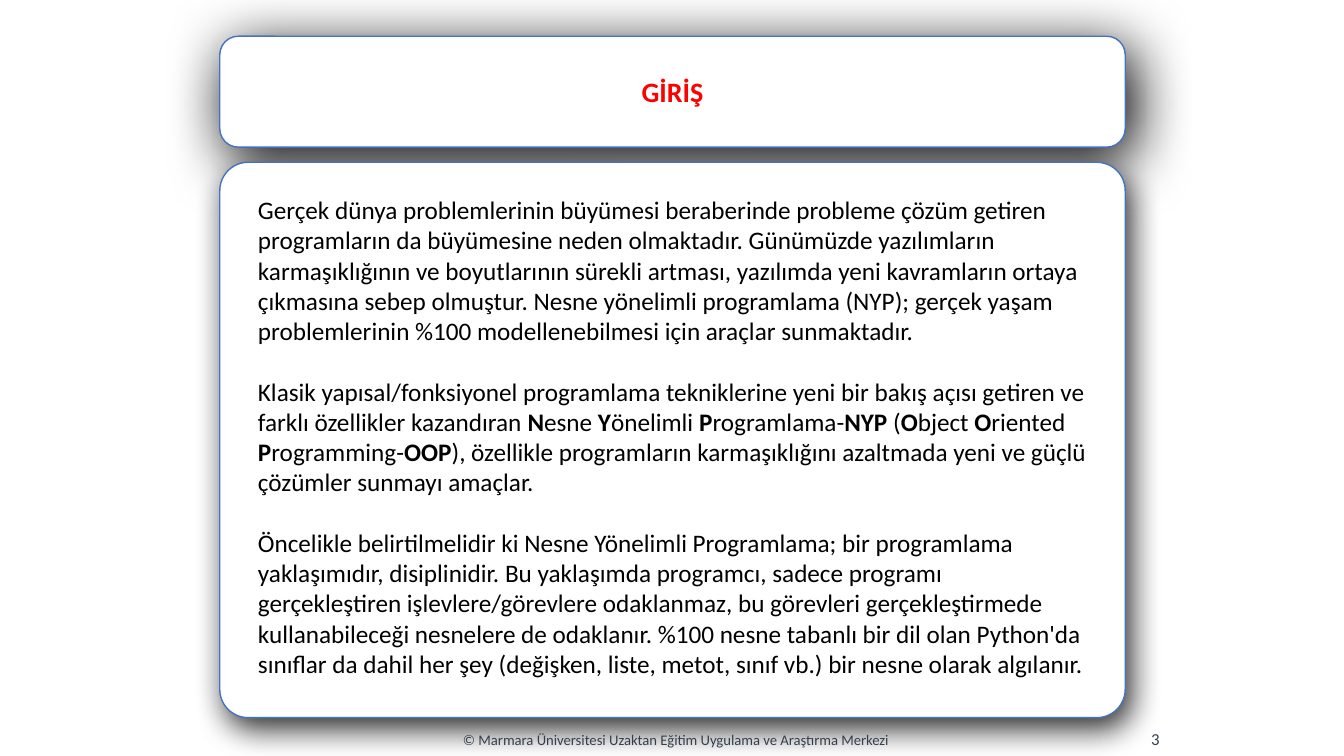
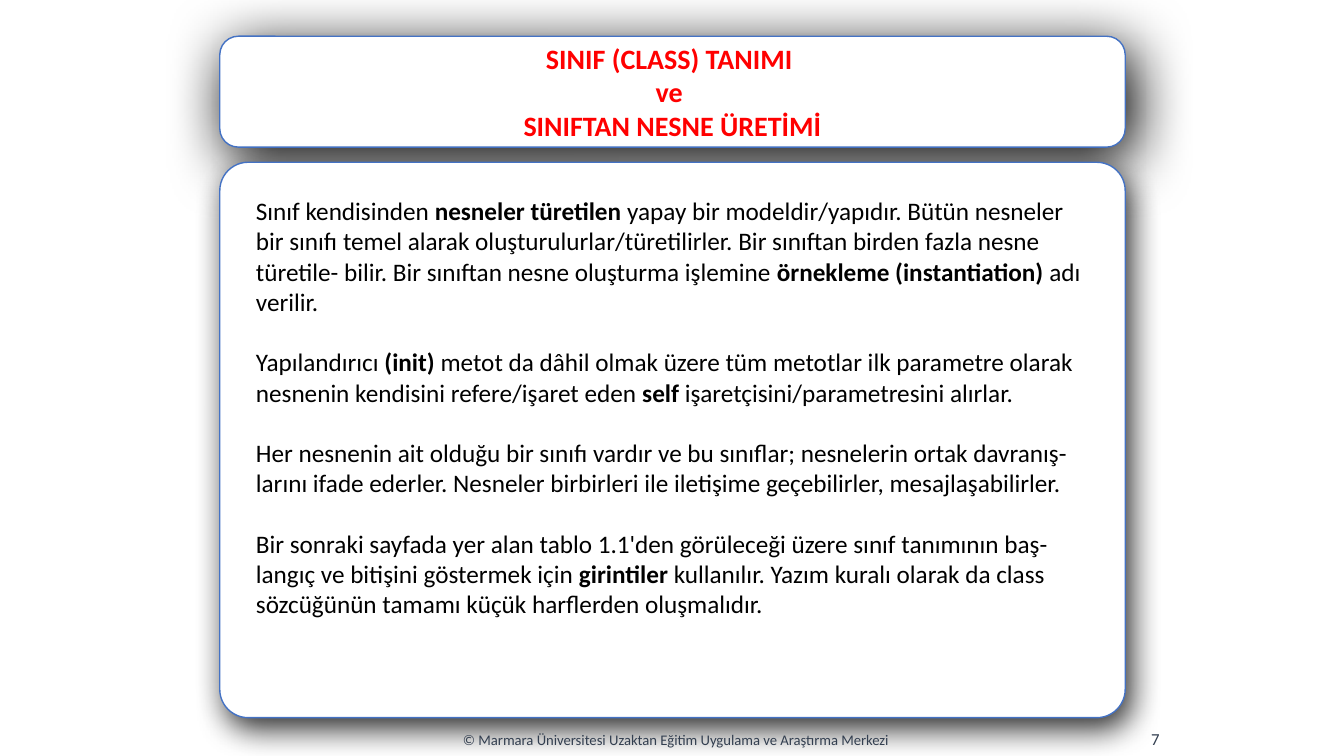
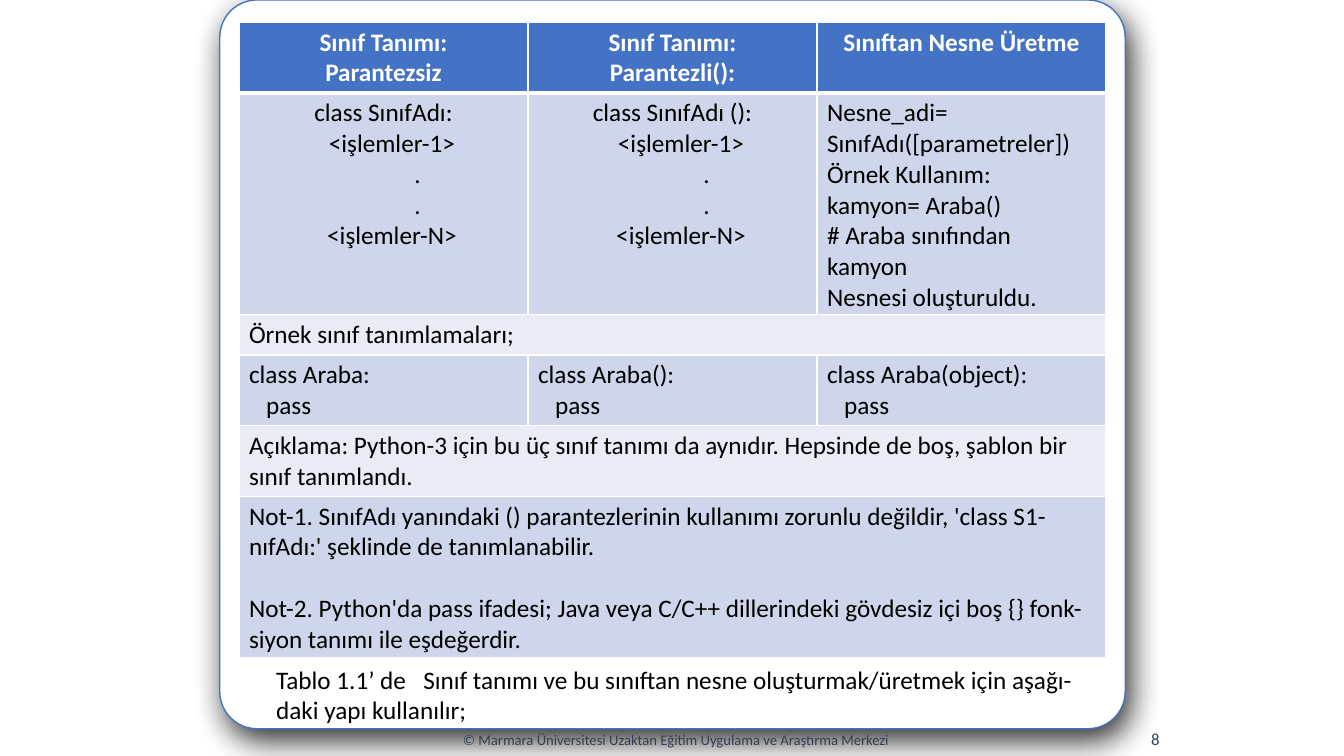
from dataclasses import dataclass
from typing import Optional

from lxml import etree
from pptx import Presentation
from pptx.dml.color import RGBColor
from pptx.enum import shapes, text
from pptx.oxml import ns
from pptx.util import Inches, Pt

FONT = "Calibri"
WHITE = RGBColor(0xFF, 0xFF, 0xFF)
BLACK = RGBColor(0x00, 0x00, 0x00)
RED = RGBColor(0xFF, 0x00, 0x00)
BLUE = RGBColor(0x44, 0x72, 0xC4)
SLATE = RGBColor(0x33, 0x3F, 0x50)
BAND_DARK = RGBColor(0xCF, 0xD5, 0xEA)
BAND_LIGHT = RGBColor(0xE9, 0xEB, 0xF5)

CENTER = text.PP_ALIGN.CENTER
LEFT = text.PP_ALIGN.LEFT
RIGHT = text.PP_ALIGN.RIGHT
FOOTER = "© Marmara Üniversitesi Uzaktan Eğitim Uygulama ve Araştırma Merkezi"
BODY_SIZE = 18
LINE_FACTOR = 1.2
CARD_LEFT, CARD_WIDTH = 2.18, 8.98


@dataclass(frozen=True)
class Place:
    left: float
    top: float
    width: float
    height: float

    def lengths(self) -> list:
        return [Inches(n) for n in (self.left, self.top, self.width, self.height)]


@dataclass(frozen=True)
class Shadow:
    """Opacity in percent, blur and distance in points, angle in degrees."""
    opacity: int
    blur: int
    distance: int
    angle: int


@dataclass(frozen=True)
class Style:
    size: float
    color: RGBColor
    align: int = LEFT
    bold: bool = False
    gap: float = 0
    line: Optional[float] = None


@dataclass(frozen=True)
class TextPage:
    number: int
    title: list
    place: Place
    body: list


@dataclass(frozen=True)
class TableRow:
    height: float
    fill: RGBColor
    cells: list
    aligns: tuple = (LEFT, LEFT, LEFT)
    header: bool = False
    gap: float = 0


TITLE_SHADOW = Shadow(99, 43, 9, 60)
PANEL_SHADOW = Shadow(81, 23, 9, 64)
PANEL_CORNER = 0.051
TITLE_STYLE = Style(20, RED, CENTER, bold=True, line=20 * LINE_FACTOR)
BODY_LINE = BODY_SIZE * LINE_FACTOR
BODY_STYLE = Style(BODY_SIZE, BLACK, gap=BODY_LINE, line=BODY_LINE)

TEXT_PAGES = [
    TextPage(3, ["GİRİŞ"], Place(2.46, 1.88, 8.45, 4.95), [
        "Gerçek dünya problemlerinin büyümesi beraberinde probleme çözüm getiren "
        "programların da büyümesine neden olmaktadır. Günümüzde yazılımların "
        "karmaşıklığının ve boyutlarının sürekli artması, yazılımda yeni kavramların "
        "ortaya çıkmasına sebep olmuştur. Nesne yönelimli programlama (NYP); gerçek "
        "yaşam problemlerinin %100 modellenebilmesi için araçlar sunmaktadır.",
        "Klasik yapısal/fonksiyonel programlama tekniklerine yeni bir bakış açısı "
        "getiren ve farklı özellikler kazandıran *N*esne *Y*önelimli "
        "*P*rogramlama-*NYP* (*O*bject *O*riented *P*rogramming-*OOP*), özellikle "
        "programların karmaşıklığını azaltmada yeni ve güçlü çözümler sunmayı amaçlar.",
        "Öncelikle belirtilmelidir ki Nesne Yönelimli Programlama; bir programlama "
        "yaklaşımıdır, disiplinidir. Bu yaklaşımda programcı, sadece programı "
        "gerçekleştiren işlevlere/görevlere odaklanmaz, bu görevleri gerçekleştirmede "
        "kullanabileceği nesnelere de odaklanır. %100 nesne tabanlı bir dil olan "
        "Python'da sınıflar da dahil her şey (değişken, liste, metot, sınıf vb.) bir "
        "nesne olarak algılanır.",
    ]),
    TextPage(7, ["SINIF (CLASS) TANIMI ", "ve ", "SINIFTAN NESNE ÜRETİMİ"],
             Place(2.44, 1.89, 8.4, 4.34), [
        "Sınıf kendisinden *nesneler türetilen *yapay bir modeldir/yapıdır. Bütün "
        "nesneler bir sınıfı temel alarak oluşturulurlar/türetilirler. Bir sınıftan "
        "birden fazla nesne türetile- bilir. Bir sınıftan nesne oluşturma işlemine "
        "*örnekleme (instantiation) *adı verilir.",
        "Yapılandırıcı *(init) *metot da dâhil olmak üzere tüm metotlar ilk parametre "
        "olarak nesnenin kendisini refere/işaret eden *self "
        "*işaretçisini/parametresini alırlar.",
        "Her nesnenin ait olduğu bir sınıfı vardır ve bu sınıflar; nesnelerin ortak "
        "davranış- larını ifade ederler. Nesneler birbirleri ile iletişime "
        "geçebilirler, mesajlaşabilirler.",
        "Bir sonraki sayfada yer alan tablo 1.1'den görüleceği üzere sınıf tanımının "
        "baş- langıç ve bitişini göstermek için *girintiler *kullanılır. Yazım kuralı "
        "olarak da class sözcüğünün tamamı küçük harflerden oluşmalıdır.",
    ]),
]

CLASS_STEPS = ["   <işlemler-1>", "            .", "            .", "   <işlemler-N>"]
TABLE_PLACE = Place(2.37, 0.22, 8.6, 6.3)
TABLE_ROWS = [
    TableRow(0.68, BLUE, [["Sınıf Tanımı:", "Parantezsiz"],
                          ["Sınıf Tanımı:", "Parantezli():"],
                          ["Sınıftan Nesne Üretme"]],
             aligns=(CENTER, CENTER, CENTER), header=True),
    TableRow(1.84, BAND_DARK, [["class SınıfAdı:", *CLASS_STEPS],
                               ["class SınıfAdı ():", *CLASS_STEPS],
                               ["Nesne_adi=", "SınıfAdı([parametreler])",
                                "Örnek Kullanım:", "kamyon= Araba()",
                                "# Araba sınıfından kamyon", "Nesnesi oluşturuldu."]],
             aligns=(CENTER, CENTER, LEFT)),
    TableRow(0.39, BAND_LIGHT, [["Örnek sınıf tanımlamaları;"]]),
    TableRow(0.68, BAND_DARK, [[f"class Araba{base}:", "   pass"]
                               for base in ("", "()", "(object)")]),
    TableRow(0.68, BAND_LIGHT, [[
        "Açıklama: Python-3 için bu üç sınıf tanımı da aynıdır. Hepsinde de boş, "
        "şablon bir sınıf tanımlandı."]]),
    TableRow(1.55, BAND_DARK, [[
        "Not-1. SınıfAdı yanındaki () parantezlerinin kullanımı zorunlu değildir, "
        "'class S1- nıfAdı:' şeklinde de tanımlanabilir.",
        "Not-2. Python'da pass ifadesi; Java veya C/C++ dillerindeki gövdesiz içi boş "
        "{} fonk- siyon tanımı ile eşdeğerdir."]], gap=22),
]
CAPTION = ("Tablo 1.1’ de\tSınıf tanımı ve bu sınıftan nesne oluşturmak/üretmek için "
           "aşağı- daki yapı kullanılır;")


def write(frame, lines: list, style: Style, tab: Optional[float] = None) -> None:
    """Fill a text frame; asterisks enclose bold words."""
    frame.word_wrap = True
    for index, line in enumerate(lines):
        para = frame.add_paragraph() if index else frame.paragraphs[0]
        para.alignment = style.align
        if style.line:
            para.line_spacing = Pt(style.line)
        if index and style.gap:
            para.space_before = Pt(style.gap)
        if tab:
            stops = etree.SubElement(para._p.get_or_add_pPr(), ns.qn("a:tabLst"))
            etree.SubElement(stops, ns.qn("a:tab"), pos=str(Inches(tab)), algn="l")
        para.font.name = FONT
        para.font.size = Pt(style.size)
        para.font.bold = style.bold
        para.font.color.rgb = style.color
        for part, words in enumerate(line.split("*")):
            if words:
                span = para.add_run()
                span.text = words
                if part % 2:
                    span.font.bold = True


def add_text(page, place: Place, lines: list, style: Style,
             anchor=text.MSO_ANCHOR.TOP, tab: Optional[float] = None) -> None:
    box = page.shapes.add_textbox(*place.lengths())
    box.text_frame.vertical_anchor = anchor
    write(box.text_frame, lines, style, tab)


def add_card(page, top: float, height: float, shadow: Shadow,
             corner: Optional[float] = None):
    """Add a white rounded card with a soft shadow."""
    place = Place(CARD_LEFT, top, CARD_WIDTH, height)
    card = page.shapes.add_shape(shapes.MSO_SHAPE.ROUNDED_RECTANGLE, *place.lengths())
    if corner:
        card.adjustments[0] = corner
    card.fill.solid()
    card.fill.fore_color.rgb = WHITE
    card.line.color.rgb = BLUE
    card.line.width = Pt(1)
    card.shadow.inherit = False
    effects = card._element.spPr.find(ns.qn("a:effectLst"))
    outer = etree.SubElement(effects, ns.qn("a:outerShdw"),
                             blurRad=str(Pt(shadow.blur)), dist=str(Pt(shadow.distance)),
                             dir=str(shadow.angle * 60000), rotWithShape="0")
    color = etree.SubElement(outer, ns.qn("a:srgbClr"), val=str(BLACK))
    etree.SubElement(color, ns.qn("a:alpha"), val=str(shadow.opacity * 1000))
    return card


def add_footer(page, number: int) -> None:
    middle = text.MSO_ANCHOR.MIDDLE
    add_text(page, Place(3.75, 7.14, 5.91, 0.4), [FOOTER],
             Style(10.5, SLATE, CENTER), middle)
    add_text(page, Place(9.27, 7.13, 2.33, 0.4), [str(number)],
             Style(12, SLATE, RIGHT), middle)


def set_borders(cell, top: int, bottom: int) -> None:
    """Draw white cell borders; top and bottom widths are in points."""
    properties = cell._tc.get_or_add_tcPr()
    sides = {"lnL": 1, "lnR": 1, "lnT": top, "lnB": bottom}
    for index, (side, width) in enumerate(sides.items()):
        line = etree.Element(ns.qn(f"a:{side}"), w=str(Pt(width)))
        fill = etree.SubElement(line, ns.qn("a:solidFill"))
        etree.SubElement(fill, ns.qn("a:srgbClr"), val=str(WHITE))
        properties.insert(index, line)


def add_class_table(page) -> None:
    columns = 3
    table = page.shapes.add_table(len(TABLE_ROWS), columns, *TABLE_PLACE.lengths()).table
    for column in table.columns:
        column.width = Inches(TABLE_PLACE.width / columns)
    for index, row in enumerate(TABLE_ROWS):
        table.rows[index].height = Inches(row.height)
        if len(row.cells) == 1:
            table.cell(index, 0).merge(table.cell(index, columns - 1))
        for column in range(columns):
            cell = table.cell(index, column)
            cell.fill.solid()
            cell.fill.fore_color.rgb = row.fill
            set_borders(cell, top=3 if index == 1 else 1, bottom=3 if row.header else 1)
        for column, lines in enumerate(row.cells):
            style = Style(BODY_SIZE, WHITE if row.header else BLACK,
                          row.aligns[column], row.header, row.gap)
            write(table.cell(index, column).text_frame, lines, style)


def add_text_page(page, content: TextPage) -> None:
    title = add_card(page, 0.36, 1.1, TITLE_SHADOW)
    title.text_frame.vertical_anchor = text.MSO_ANCHOR.MIDDLE
    write(title.text_frame, content.title, TITLE_STYLE)
    add_card(page, 1.61, 5.51, PANEL_SHADOW, PANEL_CORNER)
    add_footer(page, content.number)
    add_text(page, content.place, content.body, BODY_STYLE)


def add_table_page(page) -> None:
    add_card(page, 0, 7.23, PANEL_SHADOW, PANEL_CORNER)
    add_footer(page, 8)
    add_text(page, Place(2.64, 6.54, 8.14, 0.71), [CAPTION], BODY_STYLE, tab=1.46)
    add_class_table(page)


def main() -> None:
    deck = Presentation()
    deck.slide_width = Inches(13.33)
    deck.slide_height = Inches(7.5)
    blank = deck.slide_layouts[6]
    for content in TEXT_PAGES:
        add_text_page(deck.slides.add_slide(blank), content)
    add_table_page(deck.slides.add_slide(blank))
    deck.save("out.pptx")


if __name__ == "__main__":
    main()
